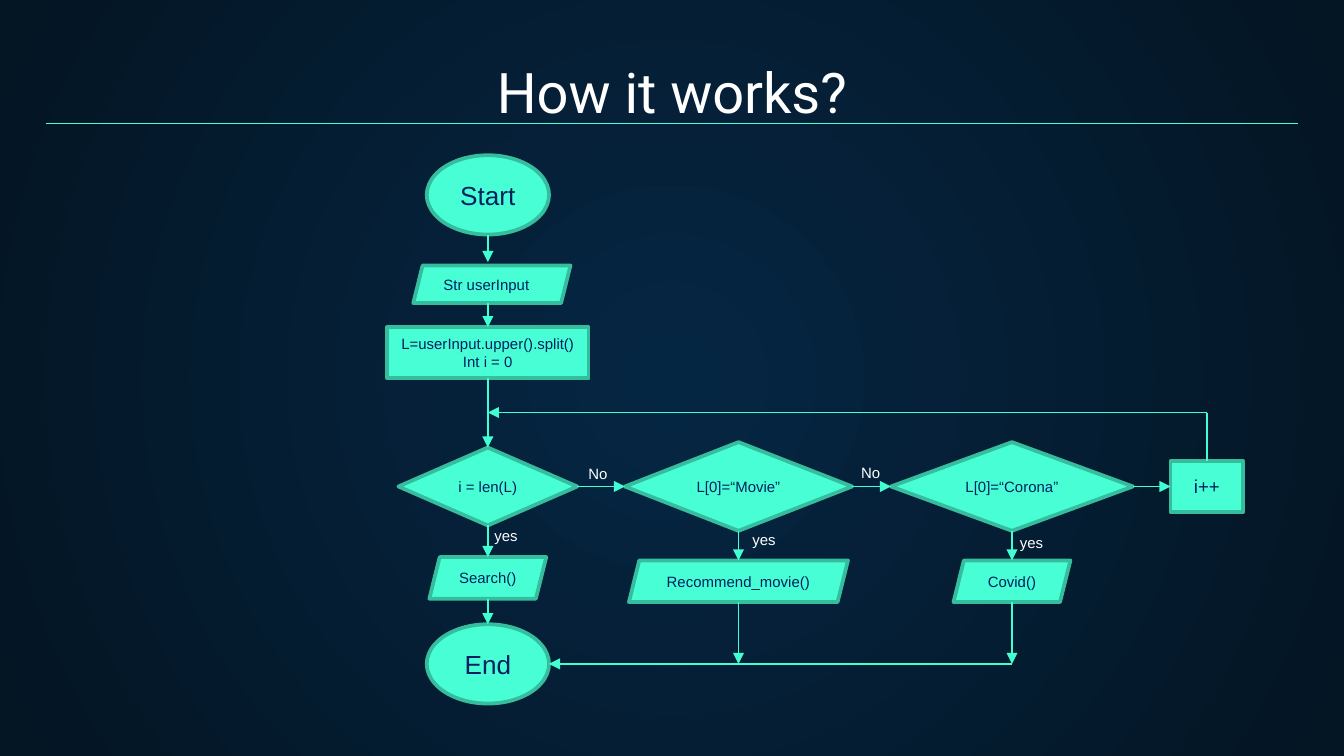
from collections import namedtuple

from lxml.etree import SubElement
from pptx import Presentation
from pptx.dml.color import RGBColor
from pptx.enum.shapes import MSO_CONNECTOR, MSO_SHAPE
from pptx.enum.text import MSO_ANCHOR, MSO_AUTO_SIZE, PP_ALIGN
from pptx.oxml.ns import qn
from pptx.util import Inches, Pt

COLUMNS, ROWS = 100, 56.25
Node = namedtuple("Node", "x y left top right bottom")


def color(hex_code):
    """Turn a hex string into a colour."""
    return RGBColor.from_string(hex_code)


def write(frame, text, size=8, font="Arial", ink="002060", align=PP_ALIGN.CENTER,
          anchor=MSO_ANCHOR.MIDDLE):
    """Fill a text frame, one paragraph per line of text."""
    frame.word_wrap = True
    frame.vertical_anchor = anchor
    frame.text = text
    for paragraph in frame.paragraphs:
        paragraph.alignment = align
        paragraph.font.size = Pt(size)
        paragraph.font.name = font
        paragraph.font.color.rgb = color(ink)


class FlowSlide:
    """Style and current slide of a flowchart on a grid of columns and rows."""

    mint, arrow_mint, border, white = "48FFD5", "42FED3", "35BD9E", "FFFFFF"

    def __init__(self, deck):
        """Add a title-only slide."""
        self.slide = deck.slides.add_slide(deck.slide_layouts[5])
        self.cell_width = deck.slide_width / COLUMNS
        self.cell_height = deck.slide_height / ROWS

    def place(self, x, y):
        """Convert columns and rows to lengths."""
        return round(x * self.cell_width), round(y * self.cell_height)

    def background(self, centre, edge):
        """Paint a radial gradient from the centre outwards."""
        fill = self.slide.background.fill
        fill.gradient()
        for stop, position, shade in zip(fill.gradient_stops, (0, 1), (centre, edge)):
            stop.position = position
            stop.color.rgb = color(shade)
        gradient = self.slide.background._cSld.find(".//" + qn("a:gradFill"))
        gradient.remove(gradient.find(qn("a:lin")))
        circle = SubElement(gradient, qn("a:path"), path="circle")
        SubElement(circle, qn("a:fillToRect"), dict.fromkeys("ltrb", "50000"))

    def title(self, text, left, top, width, height):
        """Move and format the title placeholder."""
        heading = self.slide.shapes.title
        heading.left, heading.top = self.place(left, top)
        heading.width, heading.height = self.place(width, height)
        write(heading.text_frame, text, size=30, font="Roboto", ink=self.white,
              anchor=MSO_ANCHOR.BOTTOM)
        heading.text_frame.auto_size = MSO_AUTO_SIZE.NONE

    def node(self, kind, text, x, y, width, height, **style):
        """Draw a flowchart step around its centre and return its edges."""
        left, top = x - width / 2, y - height / 2
        step = self.slide.shapes.add_shape(
            kind, *self.place(left, top), *self.place(width, height))
        step.shadow.inherit = False
        step.fill.solid()
        step.fill.fore_color.rgb = color(self.mint)
        step.line.color.rgb = color(self.border)
        step.line.width = Pt(2)
        SubElement(step.line._get_or_add_ln(), qn("a:round"))
        write(step.text_frame, text, **style)
        return Node(x, y, left, top, left + width, top + height)

    def line(self, start, end, head=True, shade=arrow_mint):
        """Draw a straight line, with an arrowhead at its end if asked."""
        link = self.slide.shapes.add_connector(
            MSO_CONNECTOR.STRAIGHT, *self.place(*start), *self.place(*end))
        link.line.color.rgb = color(shade)
        link.line.width = Pt(0.75)
        if head:
            SubElement(link.line._get_or_add_ln(), qn("a:tailEnd"), type="triangle")
        SubElement(link._element.spPr, qn("a:effectLst"))

    def down(self, upper, lower):
        """Link two steps of one column."""
        self.line((upper.x, upper.bottom), (upper.x, lower.top))

    def across(self, first, second):
        """Link two steps of one row."""
        self.line((first.right, first.y), (second.left, second.y))

    def label(self, text, left, top):
        """Write the answer beside a branch."""
        box = self.slide.shapes.add_textbox(*self.place(left, top), *self.place(4.7, 2.4))
        write(box.text_frame, text, ink=self.white, align=PP_ALIGN.LEFT,
              anchor=MSO_ANCHOR.TOP)


def main():
    """Build the flowchart slide."""
    deck = Presentation()
    deck.slide_width, deck.slide_height = Inches(10), Inches(5.625)
    flow = FlowSlide(deck)
    flow.background("052643", "041523")
    flow.title("How it works?", 3.4, 3.2, 93.2, 6.6)
    flow.line((3.4, 9.2), (96.6, 9.2), head=False, shade=flow.mint)

    main_column, movie_column, corona_column, step_column = 36.3, 54.95, 75.3, 89.8
    decision_row, action_row, loop_row, end_row = 36.2, 43.25, 30.7, 49.4
    oval, box = MSO_SHAPE.OVAL, MSO_SHAPE.RECTANGLE
    data, decision = MSO_SHAPE.PARALLELOGRAM, MSO_SHAPE.DIAMOND

    start = flow.node(oval, "Start", main_column, 14.5, 9.1, 5.9, size=14)
    user_input = flow.node(data, "Str userInput", 36.6, 21.15, 11.7, 2.8,
                           align=PP_ALIGN.LEFT)
    split = flow.node(box, "L=userInput.upper().split()\nInt i = 0",
                      main_column, 26.25, 15, 3.8)
    finished = flow.node(decision, "i = len(L)", main_column, decision_row, 13.3, 5.8)
    search = flow.node(data, "Search()", main_column, 43, 8.7, 3.1)
    end = flow.node(oval, "End", main_column, end_row, 9.1, 5.9, size=14)
    is_movie = flow.node(decision, "L[0]=“Movie”", movie_column, decision_row, 16.9, 6.6)
    recommend = flow.node(data, "Recommend_movie()", movie_column, action_row, 16.3, 3.1)
    is_corona = flow.node(decision, "L[0]=“Corona”", corona_column, decision_row, 18, 6.6)
    covid = flow.node(data, "Covid()", corona_column, action_row, 8.7, 3.1)
    increment = flow.node(box, "i++", step_column, decision_row, 5.4, 3.8, size=10)

    flow.line((start.x, start.bottom), (start.x, 19.5))
    flow.line((main_column, user_input.bottom), (main_column, split.top))
    for upper, lower in ((split, finished), (finished, search), (search, end),
                         (is_movie, recommend), (is_corona, covid)):
        flow.down(upper, lower)
    for first, second in ((finished, is_movie), (is_movie, is_corona),
                          (is_corona, increment)):
        flow.across(first, second)
    flow.line((step_column, increment.top), (step_column, loop_row), head=False)
    flow.line((step_column, loop_row), (main_column, loop_row))
    flow.line((corona_column, end_row), (end.right, end_row))
    for action in (recommend, covid):
        flow.line((action.x, action.bottom), (action.x, end_row))

    for answer, left, top in (("yes", 35.8, 38.7), ("yes", 55, 39), ("yes", 74.9, 39.2),
                              ("No", 42.8, 34.1), ("No", 63.1, 34)):
        flow.label(answer, left, top)
    deck.save("out.pptx")


if __name__ == "__main__":
    main()
